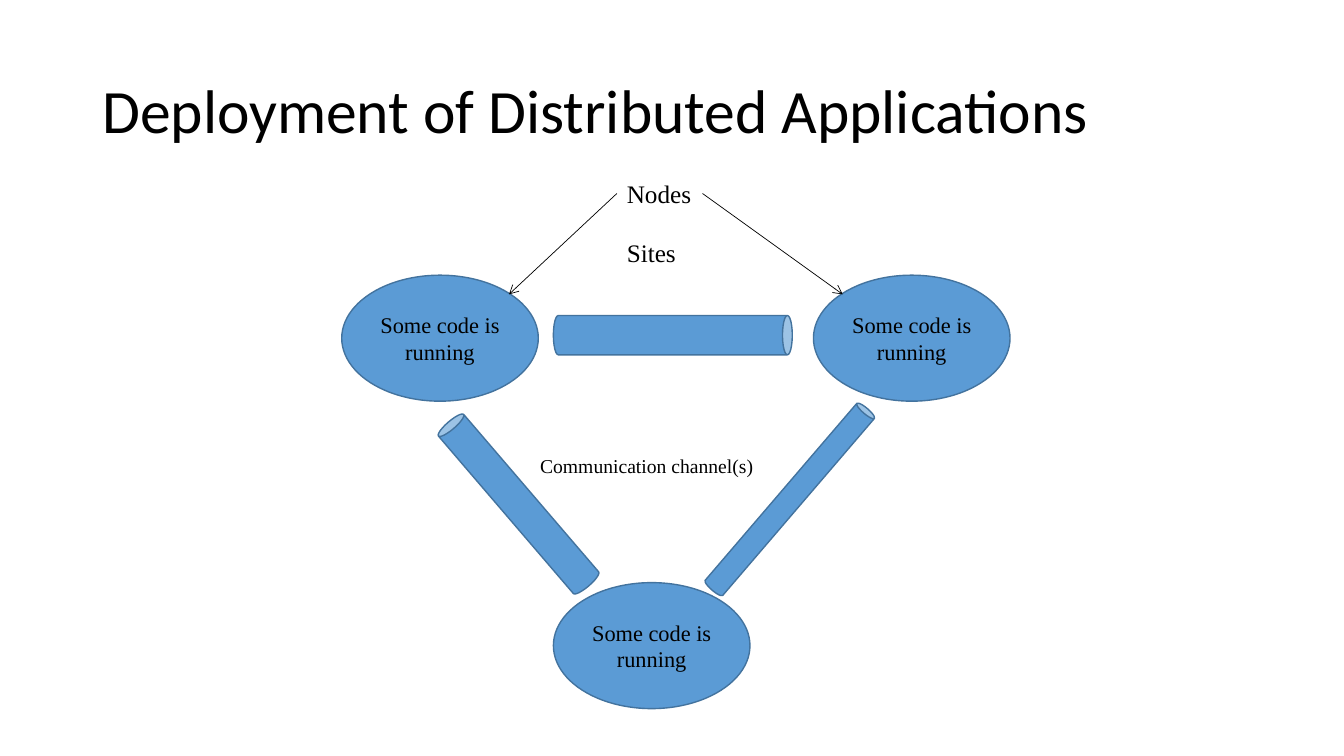
from lxml import etree
from pptx import Presentation
from pptx.dml.color import RGBColor
from pptx.enum.shapes import MSO_CONNECTOR, MSO_SHAPE
from pptx.enum.text import MSO_ANCHOR, PP_ALIGN
from pptx.oxml.ns import qn
from pptx.util import Inches, Pt

ELLIPSE, CAN = MSO_SHAPE.OVAL, MSO_SHAPE.CAN
STRAIGHT = MSO_CONNECTOR.STRAIGHT
LEFT, CENTER = PP_ALIGN.LEFT, PP_ALIGN.CENTER
TOP, MIDDLE = MSO_ANCHOR.TOP, MSO_ANCHOR.MIDDLE

COLORS = {"ink": "000000", "blue": "5B9BD5", "outline": "43739E"}
HEADING_FONT, BODY_FONT = "Calibri", "Times New Roman"
SLIDE_WIDTH, SLIDE_HEIGHT = Inches(40 / 3), Inches(7.5)
COLUMN, ROW = SLIDE_WIDTH / 40, SLIDE_HEIGHT / 30

TITLE_BOX = (2.75, 1.6, 34.5, 5.8)
DIAGRAM_BOX = (10.17, 6.88, 19.89, 21.24)
NODE_SIZE = (5.85, 5)
NODE_ROW = 4.04


def color(name):
    return RGBColor.from_string(COLORS[name])


def place(box, left, top, width, height):
    return (round((box[0] + left) * COLUMN), round((box[1] + top) * ROW),
            round(width * COLUMN), round(height * ROW))


def write(shape, wording, size, font, align=LEFT, anchor=TOP, wrap=True):
    frame = shape.text_frame
    frame.text = wording
    frame.word_wrap = wrap
    frame.vertical_anchor = anchor
    paragraph = frame.paragraphs[0]
    paragraph.alignment = align
    for run in paragraph.runs:
        run.font.size = Pt(size)
        run.font.name = font
        run.font.color.rgb = color("ink")
    return paragraph


def add_solid(slide, preset, area):
    solid = slide.shapes.add_shape(preset, *area)
    solid.shadow.inherit = False
    solid.fill.solid()
    solid.fill.fore_color.rgb = color("blue")
    solid.line.color.rgb = color("outline")
    solid.line.width = Pt(1)
    return solid


def add_pointer(slide, box, start, end):
    x1, y1, _, _ = place(box, *start, 0, 0)
    x2, y2, _, _ = place(box, *end, 0, 0)
    pointer = slide.shapes.add_connector(STRAIGHT, x1, y1, x2, y2)
    pointer.line.color.rgb = color("ink")
    pointer.line.width = Pt(0.5)
    etree.SubElement(pointer.line._get_or_add_ln(), qn("a:tailEnd"), type="arrow")
    etree.SubElement(pointer._element.spPr, qn("a:effectLst"))


def add_title(slide, box):
    title = slide.shapes.add_textbox(*place(box, 0, 0, *box[2:]))
    heading = write(title, "Deployment of Distributed Applications", 44,
                    HEADING_FONT, anchor=MIDDLE)
    heading.line_spacing = 0.9


def add_diagram(slide, box):
    right_node = box[2] - NODE_SIZE[0]
    bottom_node = box[3] - NODE_SIZE[1]
    for left, top in ((0, NODE_ROW), (right_node, NODE_ROW), (6.3, bottom_node)):
        node = add_solid(slide, ELLIPSE, place(box, left, top, *NODE_SIZE))
        write(node, "Some code is running", 16, BODY_FONT, CENTER, MIDDLE)

    channels = (
        (12.99, 8.2, 0.69, 9.48, 40.6),
        (9.27, 1.68, 1.17, 9.48, 90),
        (4.77, 8.84, 0.99, 8.56, -40.6),
    )
    for *area, angle in channels:
        channel = add_solid(slide, CAN, place(box, *area))
        channel.rotation = angle

    labels = (
        ("Nodes", 18, (8.19, 0, 2.55, 1.6)),
        ("Sites", 18, (8.19, 2.36, 2.07, 1.6)),
        ("Communication channel(s)", 14, (5.61, 10.92, 7.02, 1.36)),
    )
    for wording, size, area in labels:
        label = slide.shapes.add_textbox(*place(box, *area))
        write(label, wording, size, BODY_FONT, wrap=False)

    for start, end in ((8.19, 4.98), (10.74, 14.91)):
        add_pointer(slide, box, (start, 0.8), (end, 4.8))


def main():
    deck = Presentation()
    deck.slide_width, deck.slide_height = SLIDE_WIDTH, SLIDE_HEIGHT
    slide = deck.slides.add_slide(deck.slide_layouts[6])
    add_title(slide, TITLE_BOX)
    add_diagram(slide, DIAGRAM_BOX)
    deck.save("out.pptx")


if __name__ == "__main__":
    main()
